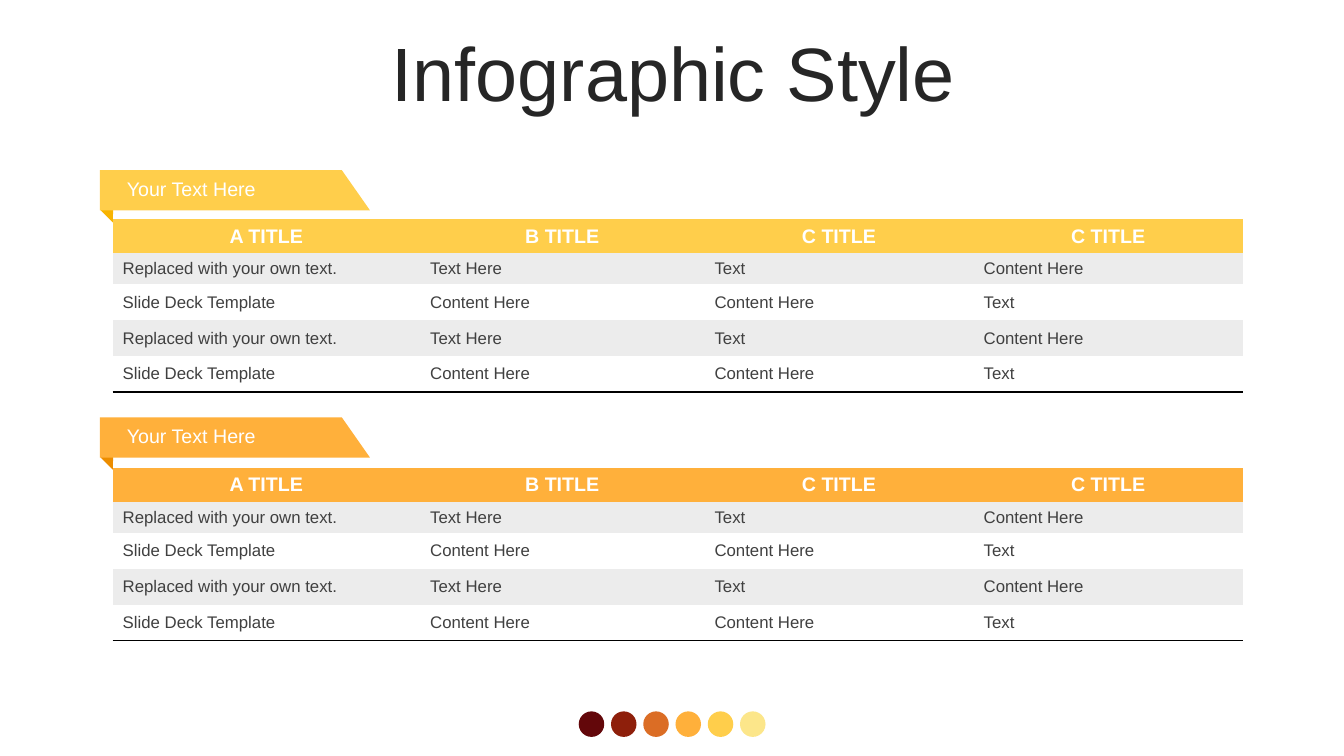
import dataclasses

import pptx
import pptx.dml.color
import pptx.enum.shapes
import pptx.enum.text
import pptx.oxml
import pptx.oxml.ns
import pptx.util

WIDE = pptx.util.Inches(13.33)
HIGH = pptx.util.Inches(7.5)
PLAIN = "{2D5ABB26-0587-4C30-8999-92F81FD0307C}"
COLS = [22.88, 21.16, 20.03, 20.03]
ROWS = [4.53, 4.07, 4.76, 4.76, 4.76]
ODD = ["Replaced with your own text.", "Text Here", "Text", "Content Here"]
EVEN = ["Slide Deck Template", "Content Here", "Content Here", "Text"]
CELLS = [["A TITLE", "B TITLE", "C TITLE", "C TITLE"], ODD, EVEN, ODD, EVEN]
DOTS = ["63070A", "8E1F0B", "DB6D25", "FFB03B", "FFCE4B", "FCE68A"]
FOLD = [(7.5, 0.13), (8.48, 0.27), (8.4, 6.93), (7.5, 5.33)]
FLAG = [(7.43, 0), (25.43, 0), (27.53, 5.33), (7.43, 5.33)]


@dataclasses.dataclass
class Panel:
    top: float
    grid: float
    main: str
    dark: str


PANELS = [
    Panel(22.5, 29, "FFCE4B", "F8B400"),
    Panel(55.2, 61.87, "FFB03B", "EC8D00"),
]


def across(share: float) -> int:
    return round(WIDE * share / 100)


def down(share: float) -> int:
    return round(HIGH * share / 100)


def box(left: float, top: float, wide: float, high: float) -> tuple[int, int, int, int]:
    return across(left), down(top), across(wide), down(high)


def tint(hue: str) -> pptx.dml.color.RGBColor:
    return pptx.dml.color.RGBColor.from_string(hue)


def paint(shape, hue: str) -> None:
    shape.shadow.inherit = False
    shape.fill.solid()
    shape.fill.fore_color.rgb = tint(hue)
    shape.line.fill.background()


def write(frame, text: str, size: float, hue: str, bold: bool = False, mid: bool = False) -> None:
    frame.text = text
    para = frame.paragraphs[0]
    align = pptx.enum.text.PP_ALIGN
    para.alignment = align.CENTER if mid else align.LEFT
    para.font.name = "Arial"
    para.font.size = pptx.util.Pt(size)
    para.font.bold = bold
    para.font.color.rgb = tint(hue)


def add_title(slide) -> None:
    title = slide.shapes.title
    title.left, title.top, title.width, title.height = box(2.63, 4.93, 94.97, 10.53)
    frame = title.text_frame
    write(frame, "Infographic Style", 54, "262626", mid=True)
    frame.auto_size = pptx.enum.text.MSO_AUTO_SIZE.NONE
    frame.vertical_anchor = pptx.enum.text.MSO_ANCHOR.MIDDLE
    frame.paragraphs[0].line_spacing = 0.9


def add_dots(slide) -> None:
    oval = pptx.enum.shapes.MSO_SHAPE.OVAL
    for i, hue in enumerate(DOTS):
        paint(slide.shapes.add_shape(oval, *box(43.06 + 2.4 * i, 94.1, 1.9, 3.38)), hue)


def add_rule(cell) -> None:
    line = pptx.oxml.parse_xml(
        f'<a:lnB {pptx.oxml.ns.nsdecls("a")} w="12700"><a:solidFill>'
        '<a:srgbClr val="000000"/></a:solidFill></a:lnB>'
    )
    cell._tc.get_or_add_tcPr().insert(0, line)


def add_grid(slide, panel: Panel) -> None:
    place = box(8.38, panel.grid, sum(COLS), sum(ROWS))
    table = slide.shapes.add_table(len(ROWS), len(COLS), *place).table
    table.horz_banding = False
    table._tbl.tblPr.find(pptx.oxml.ns.qn("a:tableStyleId")).text = PLAIN
    for col, wide in zip(table.columns, COLS):
        col.width = across(wide)
    for r, texts in enumerate(CELLS):
        table.rows[r].height = down(ROWS[r])
        head = r == 0
        for c, text in enumerate(texts):
            cell = table.cell(r, c)
            cell.vertical_anchor = pptx.enum.text.MSO_ANCHOR.MIDDLE
            write(cell.text_frame, text, 14 if head else 12,
                  "FFFFFF" if head else "404040", bold=head, mid=head)
            if head or r % 2:
                cell.fill.solid()
                cell.fill.fore_color.rgb = tint(panel.main if head else "ECECEC")
            else:
                cell.fill.background()
            if r == len(ROWS) - 1:
                add_rule(cell)


def add_form(slide, points: list[tuple[float, float]], top: float, hue: str) -> None:
    spots = [(across(x), down(top + y)) for x, y in points]
    form = slide.shapes.build_freeform(*spots[0], scale=1.0)
    form.add_line_segments(spots[1:], close=True)
    paint(form.convert_to_shape(), hue)


def add_flag(slide, panel: Panel) -> None:
    add_form(slide, FOLD, panel.top, panel.dark)
    add_form(slide, FLAG, panel.top, panel.main)
    label = slide.shapes.add_textbox(*box(8.7, panel.top + 0.27, 15.45, 4.53))
    label.text_frame.word_wrap = True
    write(label.text_frame, "Your Text Here", 14, "FFFFFF")


def main() -> None:
    deck = pptx.Presentation()
    deck.slide_width, deck.slide_height = WIDE, HIGH
    slide = deck.slides.add_slide(deck.slide_layouts[5])
    add_dots(slide)
    add_title(slide)
    for panel in PANELS:
        add_grid(slide, panel)
        add_flag(slide, panel)
    deck.save("out.pptx")


if __name__ == "__main__":
    main()
